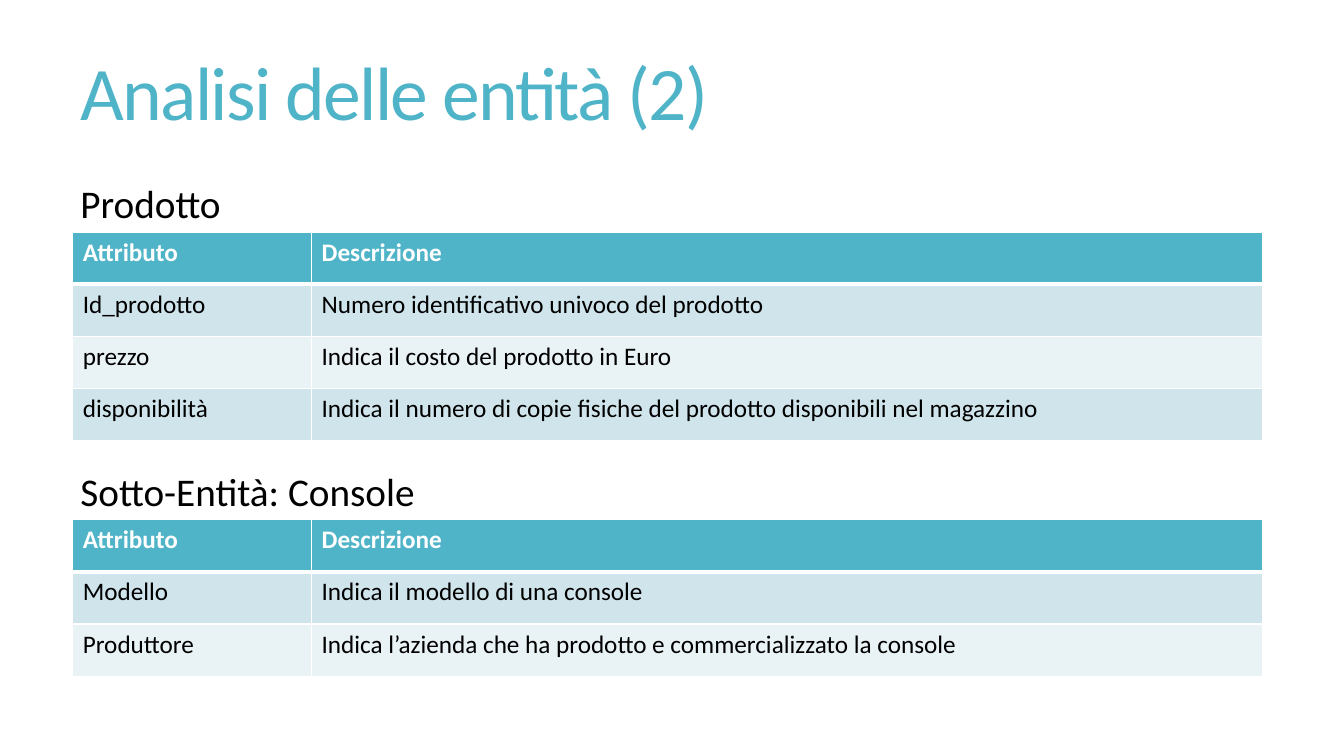
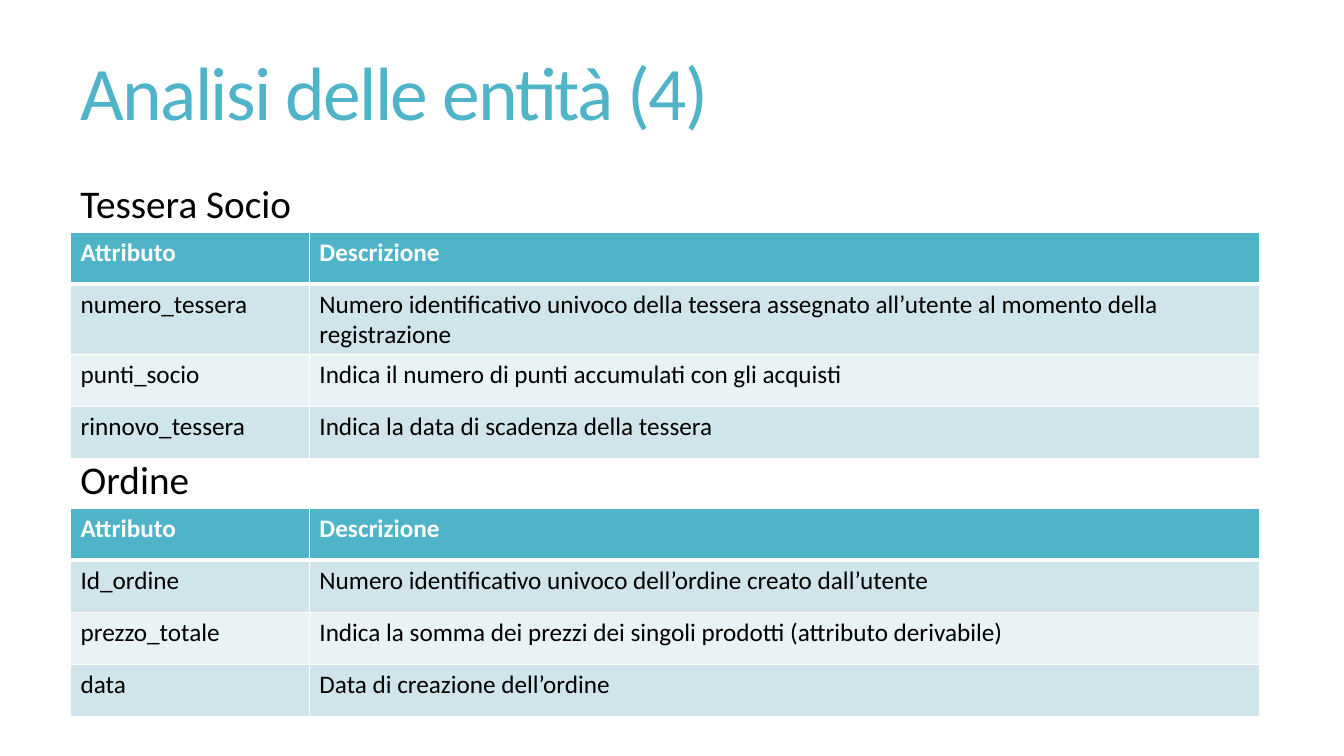
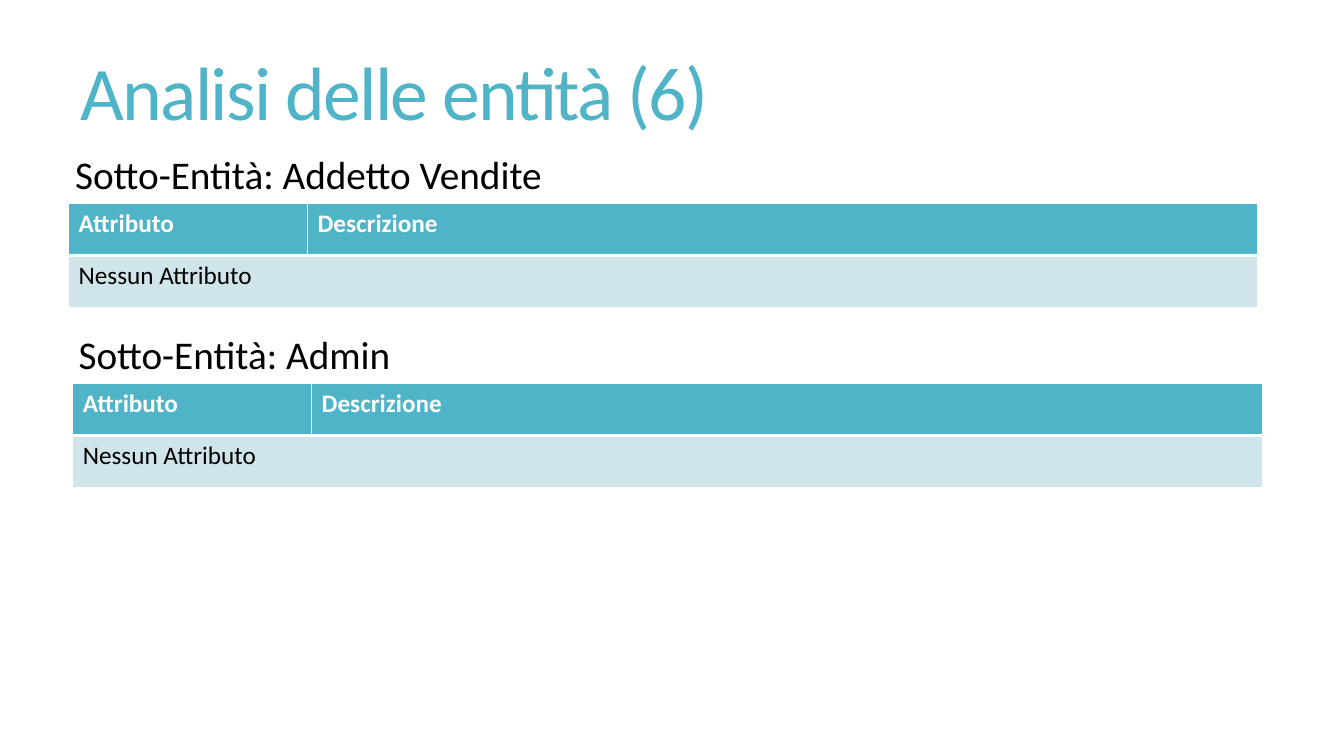
from dataclasses import dataclass

from lxml.etree import SubElement
from pptx import Presentation
from pptx.dml.color import RGBColor
from pptx.enum.text import MSO_ANCHOR, MSO_AUTO_SIZE, PP_ALIGN
from pptx.oxml.ns import qn
from pptx.util import Pt


@dataclass(frozen=True)
class Theme:
    font: str = "Calibri"
    accent: RGBColor = RGBColor.from_string("50B4C8")
    band_dark: RGBColor = RGBColor.from_string("D0E5EB")
    band_light: RGBColor = RGBColor.from_string("E9F2F5")
    white: RGBColor = RGBColor.from_string("FFFFFF")
    black: RGBColor = RGBColor.from_string("000000")
    title_size: int = 54
    caption_size: int = 28
    cell_size: int = 18


THEME = Theme()
TITLE_FRAME = {"left": 50.4, "top": 14.4, "width": 848.2, "height": 110.2}
CAPTION_HEIGHT = 41.2
COLUMN_WIDTHS = [170.6, 679]
ROW_HEIGHT = 37.25
THIN, THICK = 1, 3
HEADER = ("Attributo", "Descrizione")

# Each entity: caption, caption left, top and width, table left, attribute rows.
# A row with a single text spans both columns.
SLIDES = [
    ("Analisi delle entità (2)", [
        ("Prodotto", 50.4, 124.5, 114.5, 52, [
            ("Id_prodotto", "Numero identificativo univoco del prodotto"),
            ("prezzo", "Indica il costo del prodotto in Euro"),
            ("disponibilità",
             "Indica il numero di copie fisiche del prodotto disponibili nel magazzino"),
        ]),
        ("Sotto-Entità: Console", 50.4, 330, 253.4, 52, [
            ("Modello", "Indica il modello di una console"),
            ("Produttore",
             "Indica l’azienda che ha prodotto e commercializzato la console"),
        ]),
    ]),
    ("Analisi delle entità (4)", [
        ("Tessera Socio", 50.4, 124.5, 164.9, 50.4, [
            ("numero_tessera",
             "Numero identificativo univoco della tessera assegnato all’utente "
             "al momento della registrazione"),
            ("punti_socio", "Indica il numero di punti accumulati con gli acquisti"),
            ("rinnovo_tessera", "Indica la data di scadenza della tessera"),
        ]),
        ("Ordine", 50.4, 321.7, 92.2, 50.4, [
            ("Id_ordine", "Numero identificativo univoco dell’ordine creato dall’utente"),
            ("prezzo_totale",
             "Indica la somma dei prezzi dei singoli prodotti (attributo derivabile)"),
            ("data", "Data di creazione dell’ordine"),
        ]),
    ]),
    ("Analisi delle entità (6)", [
        ("Sotto-Entità: Addetto Vendite", 46.6, 104, 348.5, 49, [("Nessun Attributo",)]),
        ("Sotto-Entità: Admin", 49, 232.6, 236.9, 52, [("Nessun Attributo",)]),
    ]),
]


def write_text(frame, text, size, color, bold=False):
    """Put one formatted span in the frame's first paragraph and return it."""
    span = frame.paragraphs[0].add_run()
    span.text = text
    formats = {"name": THEME.font, "size": Pt(size), "bold": bold}
    for name, value in formats.items():
        setattr(span.font, name, value)
    span.font.color.rgb = color
    return span


def format_cell(cell, row_index):
    """Draw white borders, thick under the header, and then the band fill."""
    properties = cell._tc.get_or_add_tcPr()
    widths = {
        "a:lnL": THIN,
        "a:lnR": THIN,
        "a:lnT": THICK if row_index == 1 else THIN,
        "a:lnB": THICK if row_index == 0 else THIN,
    }
    for tag, width in widths.items():
        line = SubElement(properties, qn(tag), w=str(Pt(width)))
        fill = SubElement(line, qn("a:solidFill"))
        SubElement(fill, qn("a:srgbClr"), val=str(THEME.white))
    band = THEME.band_dark if row_index % 2 else THEME.band_light
    cell.fill.solid()
    cell.fill.fore_color.rgb = band if row_index else THEME.accent


deck = Presentation()
deck.slide_width, deck.slide_height = Pt(960), Pt(540)
title_only = deck.slide_layouts[5]

for title_text, entities in SLIDES:
    page = deck.slides.add_slide(title_only)
    title = page.shapes.title
    for name, value in TITLE_FRAME.items():
        setattr(title, name, Pt(value))
    title.text_frame.auto_size = MSO_AUTO_SIZE.NONE
    title.text_frame.vertical_anchor = MSO_ANCHOR.MIDDLE
    para = title.text_frame.paragraphs[0]
    para.alignment = PP_ALIGN.LEFT
    para.line_spacing = 0.85
    span = write_text(title.text_frame, title_text, THEME.title_size, THEME.accent)
    span._r.get_or_add_rPr().set("spc", "-120")

    for caption, left, top, width, table_left, attributes in entities:
        box = page.shapes.add_textbox(Pt(left), Pt(top), Pt(width), Pt(CAPTION_HEIGHT))
        box.text_frame.word_wrap = False
        box.text_frame.auto_size = MSO_AUTO_SIZE.SHAPE_TO_FIT_TEXT
        write_text(box.text_frame, caption, THEME.caption_size, THEME.black)

        rows = [HEADER, *attributes]
        table = page.shapes.add_table(
            len(rows), len(COLUMN_WIDTHS), Pt(table_left), Pt(top + CAPTION_HEIGHT),
            Pt(sum(COLUMN_WIDTHS)), Pt(ROW_HEIGHT * len(rows))).table
        for column, column_width in zip(table.columns, COLUMN_WIDTHS):
            column.width = Pt(column_width)
        for row_index, texts in enumerate(rows):
            table.rows[row_index].height = Pt(ROW_HEIGHT)
            for cell in table.rows[row_index].cells:
                format_cell(cell, row_index)
            if len(texts) == 1:
                table.cell(row_index, 0).merge(table.cell(row_index, 1))
            is_header = row_index == 0
            color = THEME.white if is_header else THEME.black
            for column_index, text in enumerate(texts):
                write_text(table.cell(row_index, column_index).text_frame, text,
                           THEME.cell_size, color, is_header)

deck.save("out.pptx")
